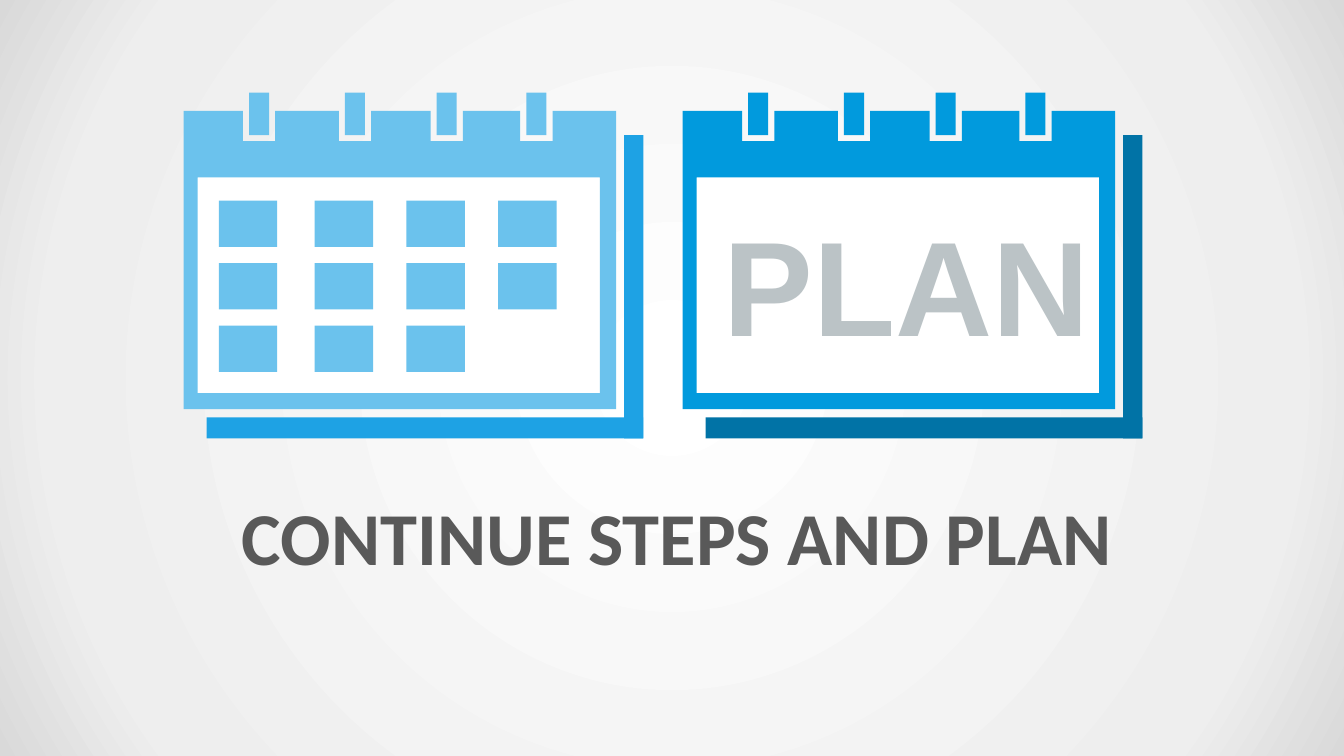
from pptx import Presentation
from pptx.dml.color import RGBColor
from pptx.enum.shapes import MSO_SHAPE
from pptx.enum.text import MSO_ANCHOR, MSO_AUTO_SIZE, PP_ALIGN
from pptx.oxml import parse_xml
from pptx.oxml.ns import nsdecls, qn
from pptx.util import Inches, Pt

RECTANGLE = MSO_SHAPE.RECTANGLE
TOP = MSO_ANCHOR.TOP
CENTER = PP_ALIGN.CENTER
NO_AUTOFIT = MSO_AUTO_SIZE.NONE
FIT_SHAPE = MSO_AUTO_SIZE.SHAPE_TO_FIT_TEXT

TITLE_ONLY = 5
BACKGROUND_STOPS = [(0, "FFFFFF"), (81, "EEEEEE"), (100, "D9D9D9")]
WHITE = "FFFFFF"
TITLE_COLOR = "595959"
WORD_COLOR = "BBC3C6"

CALENDAR_TOP, CALENDAR_WIDTH, CALENDAR_HEIGHT = 1.1, 4.29, 2.96
RING_CENTERS = [0.75, 1.7, 2.61, 3.5]
RING_WIDTH, NOTCH_WIDTH, NOTCH_DEPTH = 0.2, 0.32, 0.3
DAY_COLUMNS = [(0.35, 3), (1.3, 3), (2.21, 3), (3.12, 2)]
DAY_TOP, DAY_STEP = 1.99, 0.62


def rgb(color):
    return RGBColor.from_string(color)


class SlideBuilder:
    def __init__(self, presentation):
        self.title_font = "Calibri"
        self.word_font = "Arial"
        self.slide = presentation.slides.add_slide(
            presentation.slide_layouts[TITLE_ONLY])

    def background(self, stops):
        self.slide.background.fill.gradient()
        gradient = next(self.slide.element.iter(qn("a:gradFill")))
        stop_list = "".join(
            f'<a:gs pos="{position * 1000}"><a:srgbClr val="{color}"/></a:gs>'
            for position, color in stops)
        gradient.getparent().replace(gradient, parse_xml(
            f'<a:gradFill {nsdecls("a")} rotWithShape="1">'
            f'<a:gsLst>{stop_list}</a:gsLst><a:path path="circle">'
            '<a:fillToRect l="50000" t="50000" r="50000" b="50000"/>'
            '</a:path></a:gradFill>'))

    def run(self, paragraph, text, font, size, color):
        run = paragraph.add_run()
        run.text = text
        run.font.name = font
        run.font.size = Pt(size)
        run.font.bold = True
        run.font.color.rgb = rgb(color)

    def title(self, text, left, top, width, height):
        shape = self.slide.shapes.title
        shape.left, shape.top = Inches(left), Inches(top)
        shape.width, shape.height = Inches(width), Inches(height)
        frame = shape.text_frame
        frame.auto_size = NO_AUTOFIT
        frame.vertical_anchor = TOP
        paragraph = frame.paragraphs[0]
        paragraph.alignment = CENTER
        self.run(paragraph, text, self.title_font, 53.3, TITLE_COLOR)

    def paint(self, shape, color):
        shape.shadow.inherit = False
        shape.fill.solid()
        shape.fill.fore_color.rgb = rgb(color)
        shape.line.fill.background()

    def rectangle(self, group, left, top, width, height, color):
        shape = group.shapes.add_shape(
            RECTANGLE, Inches(left), Inches(top), Inches(width), Inches(height))
        self.paint(shape, color)

    def freeform(self, group, contours, color):
        first, *others = [[(Inches(x), Inches(y)) for x, y in contour]
                          for contour in contours]
        builder = group.shapes.build_freeform(*first[0])
        builder.add_line_segments(first[1:], close=True)
        for contour in others:
            builder.move_to(*contour[0])
            builder.add_line_segments(contour[1:], close=True)
        self.paint(builder.convert_to_shape(), color)

    def calendar_frame(self, group, left, color):
        right = left + CALENDAR_WIDTH
        top, bottom = CALENDAR_TOP, CALENDAR_TOP + CALENDAR_HEIGHT
        outline = [(left, top)]
        for center in RING_CENTERS:
            notch_left = left + center - NOTCH_WIDTH / 2
            notch_right = notch_left + NOTCH_WIDTH
            outline += [(notch_left, top), (notch_left, top + NOTCH_DEPTH),
                        (notch_right, top + NOTCH_DEPTH), (notch_right, top)]
        outline += [(right, top), (right, bottom), (left, bottom)]
        window_left, window_right = left + 0.14, right - 0.16
        window_top, window_bottom = top + 0.66, bottom - 0.16
        window = [(window_left, window_top), (window_left, window_bottom),
                  (window_right, window_bottom), (window_right, window_top)]
        self.freeform(group, [outline, window], color)

    def calendar(self, left, color, shade):
        group = self.slide.shapes.add_group_shape()
        self.rectangle(group, left + 0.06, 1.75, 4.16, 2.25, WHITE)
        self.calendar_frame(group, left, color)
        for center in RING_CENTERS:
            self.rectangle(group, left + center - RING_WIDTH / 2, 0.92,
                           RING_WIDTH, 0.42, color)
        self.rectangle(group, left + 0.23, 4.14, 4.33, 0.21, shade)
        self.rectangle(group, left + 4.37, 1.34, 0.19, 3.01, shade)
        return group

    def days(self, group, left, color):
        for offset, count in DAY_COLUMNS:
            for row in range(count):
                self.rectangle(group, left + offset, DAY_TOP + row * DAY_STEP,
                               0.58, 0.46, color)

    def word(self, group, text, left, top, width, height):
        box = group.shapes.add_textbox(
            Inches(left), Inches(top), Inches(width), Inches(height))
        frame = box.text_frame
        frame.word_wrap = False
        frame.auto_size = FIT_SHAPE
        self.run(frame.paragraphs[0], text, self.word_font, 96, WORD_COLOR)


def main():
    presentation = Presentation()
    presentation.slide_width = Inches(13.33)
    presentation.slide_height = Inches(7.5)
    builder = SlideBuilder(presentation)
    builder.background(BACKGROUND_STOPS)
    builder.title("CONTINUE STEPS AND PLAN", 1.05, 4.82, 11.33, 1.49)
    steps = builder.calendar(1.82, "6BC2ED", "1EA2E4")
    builder.days(steps, 1.82, "6BC2ED")
    plan = builder.calendar(6.77, "019ADD", "0173A6")
    builder.word(plan, "PLAN", 7.08, 1.96, 3.87, 1.72)
    presentation.save("out.pptx")


if __name__ == "__main__":
    main()
